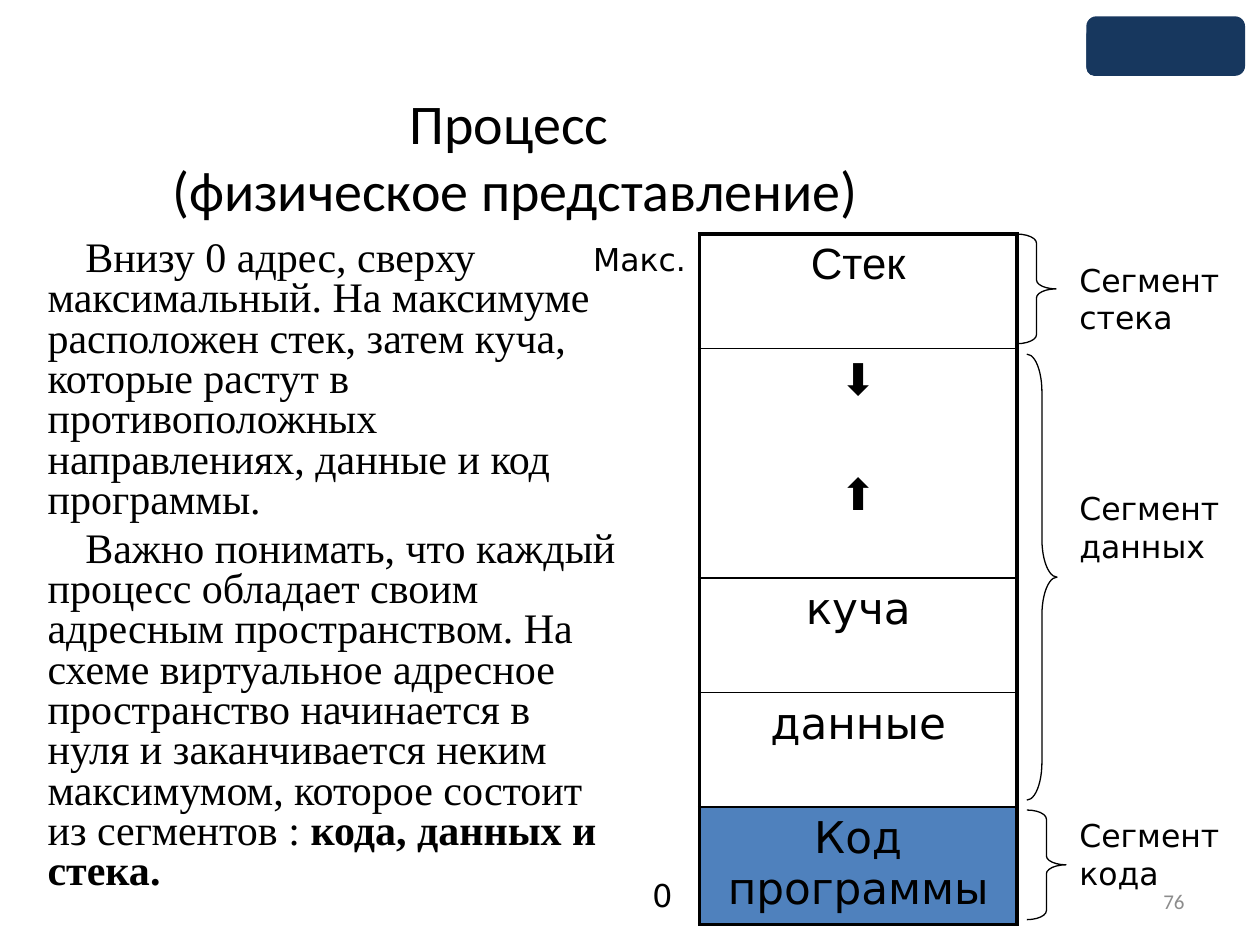
from lxml import etree
from pptx import Presentation
from pptx import util as u
from pptx.dml.color import RGBColor
from pptx.enum import shapes, text
from pptx.oxml.ns import qn

NAVY = RGBColor(0x17, 0x37, 0x5E)
BLUE = RGBColor(0x4F, 0x81, 0xBD)
BLACK = RGBColor(0, 0, 0)
GRAY = RGBColor(0x8C, 0x8C, 0x8C)

presentation = Presentation()
presentation.slide_width = u.Cm(25.4)
presentation.slide_height = u.Cm(19.05)
slide = presentation.slides.add_slide(presentation.slide_layouts[6])


def add_run(paragraph, words, size, font, color=BLACK, bold=False):
    run = paragraph.add_run()
    run.text = words
    run.font.size = u.Pt(size)
    run.font.name = font
    run.font.color.rgb = color
    run.font.bold = bold


def add_text_frame(left, top, width, height, anchor=text.MSO_ANCHOR.TOP):
    box = slide.shapes.add_textbox(u.Cm(left), u.Cm(top), u.Cm(width), u.Cm(height))
    box.text_frame.word_wrap = True
    box.text_frame.vertical_anchor = anchor
    return box.text_frame


for top, width, height in [(0.53, 3, 1), (0.33, 3.2, 1.2)]:
    badge = slide.shapes.add_shape(
        shapes.MSO_SHAPE.ROUNDED_RECTANGLE, u.Cm(21.9), u.Cm(top), u.Cm(width), u.Cm(height))
    badge.shadow.inherit = False
    badge.fill.solid()
    badge.fill.fore_color.rgb = NAVY
    badge.line.fill.background()

title = add_text_frame(0.23, 1.55, 20.32, 3.18, text.MSO_ANCHOR.MIDDLE).paragraphs[0]
title.alignment = text.PP_ALIGN.CENTER
add_run(title, "Процесс ", 32, "Calibri")
title.add_line_break()
add_run(title, "(физическое представление)", 32, "Calibri")

body = add_text_frame(0.71, 4.72, 11.99, 12.85)
body_paragraphs = [
    [("Внизу 0 адрес, сверху максимальный. На максимуме расположен стек, затем куча, "
      "которые растут в противоположных направлениях, данные и код программы.", False)],
    [("Важно понимать, что каждый процесс обладает своим адресным пространством. "
      "На схеме виртуальное адресное пространство начинается в нуля и заканчивается "
      "неким максимумом, которое состоит из сегментов : ", False),
     ("кода, данных и стека.", True)],
]
for index, runs in enumerate(body_paragraphs):
    paragraph = body.add_paragraph() if index else body.paragraphs[0]
    paragraph.line_spacing = 0.8
    paragraph.space_before = u.Pt(4.8)
    paragraph._p.get_or_add_pPr().set("indent", str(u.Cm(0.76)))
    for words, bold in runs:
        add_run(paragraph, words, 24, "Times New Roman", bold=bold)

segments = ["Стек", "⬇", "⬆", "куча", "данные", "Код программы"]
row_height = 2.31
memory = slide.shapes.add_table(
    len(segments), 1, u.Cm(14.1), u.Cm(4.72), u.Cm(6.4), u.Cm(row_height * len(segments))).table
memory.first_row = False
memory.horz_banding = False
borders = [0, 1, 0, 1, 1, 1, 0]
borders[0] = borders[-1] = 2.25
for index, words in enumerate(segments):
    memory.rows[index].height = u.Cm(row_height)
    cell = memory.cell(index, 0)
    properties = cell._tc.get_or_add_tcPr()
    edges = {"a:lnL": 2.25, "a:lnR": 2.25, "a:lnT": borders[index], "a:lnB": borders[index + 1]}
    if index == 1:
        edges["a:lnB"] = 0
    for tag, points in edges.items():
        line = etree.SubElement(properties, qn(tag), w=str(u.Pt(points)))
        if points:
            fill = etree.SubElement(line, qn("a:solidFill"))
            etree.SubElement(fill, qn("a:srgbClr"), val=str(BLACK))
        else:
            etree.SubElement(line, qn("a:noFill"))
    if index == len(segments) - 1:
        cell.fill.solid()
        cell.fill.fore_color.rgb = BLUE
    else:
        cell.fill.background()
    paragraph = cell.text_frame.paragraphs[0]
    paragraph.alignment = text.PP_ALIGN.CENTER
    paragraph.space_before = u.Pt(5)
    add_run(paragraph, words, 25, "DejaVu Sans" if index else "Arial")

for left, top, width, height, curve in [
    (20.5, 4.72, 0.79, 2.21, 0.23),
    (20.7, 16.33, 0.79, 2.21, 0.23),
    (20.7, 7.14, 0.61, 8.99, 1.25),
]:
    brace = slide.shapes.add_shape(
        shapes.MSO_SHAPE.RIGHT_BRACE, u.Cm(left), u.Cm(top), u.Cm(width), u.Cm(height))
    brace.shadow.inherit = False
    brace.adjustments[0] = curve
    brace.adjustments[1] = 0.5
    brace.fill.background()
    brace.line.color.rgb = BLACK
    brace.line.width = u.Pt(0.75)

for words, left, top, width, height in [
    ("Сегмент стека", 21.51, 5.13, 3.51, 1.78),
    ("Сегмент данных", 21.51, 9.73, 3.51, 1.78),
    ("Сегмент кода", 21.51, 16.33, 3.51, 1.78),
    ("0", 12.9, 17.53, 1.09, 1.02),
    ("Макс.", 11.71, 4.72, 2.39, 1.02),
]:
    label = add_text_frame(left, top, width, height)
    label.auto_size = text.MSO_AUTO_SIZE.SHAPE_TO_FIT_TEXT
    label.paragraphs[0].space_before = u.Pt(9)
    add_run(label.paragraphs[0], words, 18, "DejaVu Sans")

number = add_text_frame(18.21, 17.65, 5.92, 1.02, text.MSO_ANCHOR.MIDDLE).paragraphs[0]
number.alignment = text.PP_ALIGN.RIGHT
add_run(number, "76", 12, "Calibri", GRAY)

presentation.save("out.pptx")
